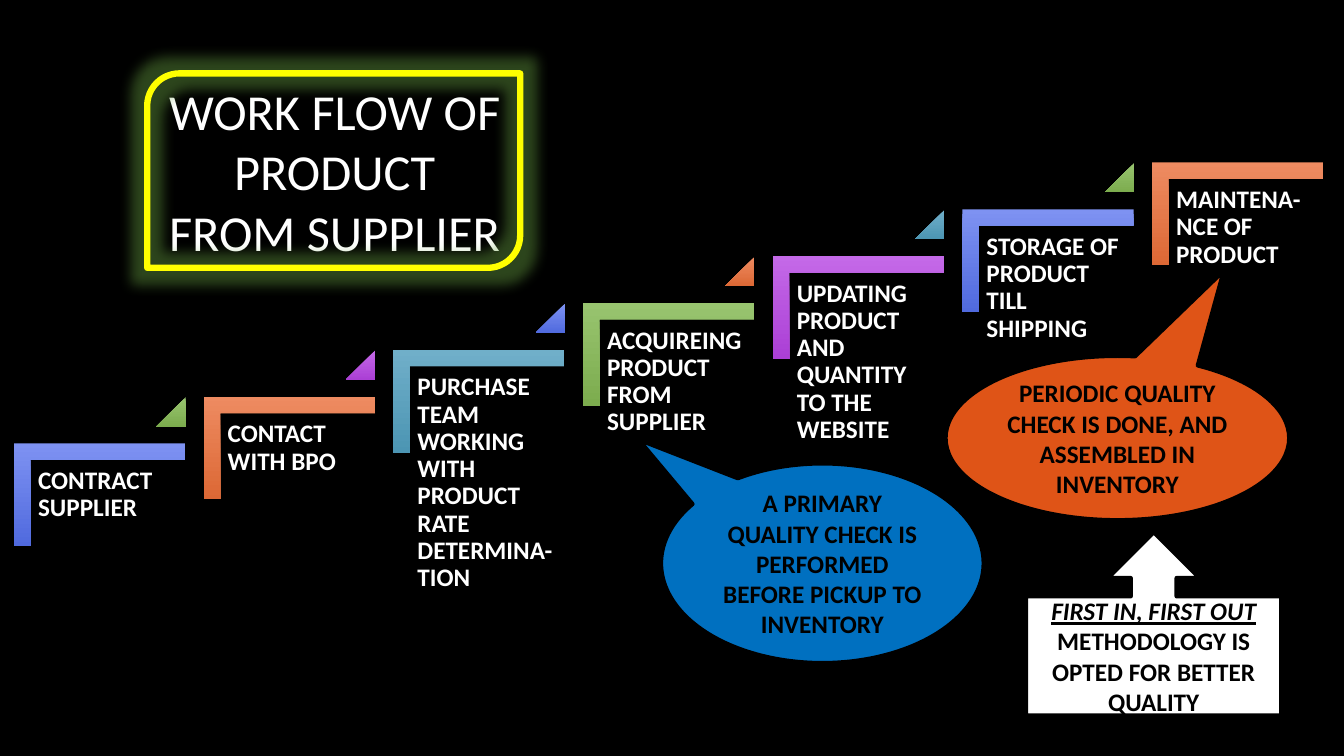
import pptx
import pptx.util
import pptx.dml.color
import pptx.enum.shapes
import pptx.enum.text
import pptx.oxml
import pptx.oxml.ns
from dataclasses import dataclass

Cm, Pt = pptx.util.Cm, pptx.util.Pt
SHAPE = pptx.enum.shapes.MSO_SHAPE
ALIGN = pptx.enum.text.PP_ALIGN
ANCHOR = pptx.enum.text.MSO_ANCHOR


# Content
TITLE = ["WORK FLOW OF PRODUCT", "FROM SUPPLIER"]
STEPS = [
    "CONTRACT SUPPLIER",
    "CONTACT WITH BPO",
    "PURCHASE TEAM WORKING WITH PRODUCT RATE DETERMINA-TION",
    "ACQUIREING PRODUCT FROM SUPPLIER",
    "UPDATING PRODUCT AND QUANTITY TO THE WEBSITE",
    "STORAGE OF PRODUCT TILL SHIPPING",
    "MAINTENA-NCE OF PRODUCT",
]
# Callouts: shape, (left, top, width, height) in cm, adjustments, fill, runs
CALLOUTS = [
    (SHAPE.OVAL_CALLOUT, (16.66, 11.68, 8.13, 5.03), (-0.57, -0.62), "0070C0",
     ["A PRIMARY QUALITY CHECK IS PERFORMED BEFORE PICKUP TO INVENTORY"]),
    (SHAPE.OVAL_CALLOUT, (23.83, 8.97, 8.66, 4.14), (0.31, -1.02), "DF5417",
     ["PERIODIC QUALITY CHECK IS DONE, AND ASSEMBLED IN INVENTORY"]),
    (SHAPE.UP_ARROW_CALLOUT, (25.86, 13.41, 6.43, 4.62), (), "FFFFFF",
     ["FIRST IN, FIRST OUT ", "METHODOLOGY IS OPTED FOR BETTER QUALITY"]),
]


@dataclass(frozen=True)
class Theme:
    font: str = "Calibri"
    title_size: int = 36
    body_size: int = 18
    back: str = "000000"
    light: str = "FFFFFF"
    frame: str = "FFFF00"
    glow: str = "70AD47"
    # Light and dark end of each step colour, in the order they cycle
    steps: tuple = (("7E92F2", "506ADE"), ("EE8B61", "DC6835"), ("70AFC9", "4C95B3"),
                    ("98C46F", "7CAC4E"), ("C469E8", "AB3FD5"))


THEME = Theme()


def rgb(value):
    return pptx.dml.color.RGBColor.from_string(value)


def style(font, size, color, bold=False):
    font.name, font.size, font.bold = THEME.font, Pt(size), bold
    font.color.rgb = rgb(color)


def add_shape(s, kind, box, adjustments=()):
    sp = s.shapes.add_shape(kind, *(Cm(v) for v in box))
    sp.shadow.inherit = False
    for i, value in enumerate(adjustments):
        sp.adjustments[i] = value
    return sp


def fill_gradient(sp, colors):
    """Shade from top to bottom, whatever the rotation of the shape."""
    sp.line.fill.background()
    sp.fill.gradient()
    sp.fill.gradient_angle = 270
    for stop, color, position in zip(sp.fill.gradient_stops, colors, (0, 1)):
        stop.color.rgb = rgb(color)
        stop.position = position
    sp._element.spPr.find(pptx.oxml.ns.qn("a:gradFill")).set("rotWithShape", "0")


def add_glow(sp, color, radius, alpha):
    effects = sp._element.spPr.find(pptx.oxml.ns.qn("a:effectLst"))
    effects.append(pptx.oxml.parse_xml(
        f'<a:glow {pptx.oxml.ns.nsdecls("a")} rad="{int(radius)}"><a:srgbClr val="{color}">'
        f'<a:alpha val="{alpha * 1000}"/></a:srgbClr></a:glow>'))


def add_step(s, i, text):
    # Each step moves right and up by the same amount
    cx, cy = 2.51 + 4.78 * i, 12.47 - 1.18 * i
    w, h = 2.59, 4.32
    corner = add_shape(s, SHAPE.CORNER, (cx - w / 2, cy - h / 2, w, h), (0.16, 0.16))
    corner.rotation = 90
    fill_gradient(corner, THEME.steps[i % 5])

    box = s.shapes.add_textbox(Cm(cx - 1.73), Cm(cy - 0.86), Cm(3.91), Cm(3.43))
    tf = box.text_frame
    tf.word_wrap = True
    tf.margin_left = tf.margin_right = tf.margin_top = tf.margin_bottom = Cm(0.18)
    tf.text = text
    p = tf.paragraphs[0]
    p.line_spacing = 0.9
    style(p.runs[0].font, THEME.body_size, THEME.light, bold=True)

    # Triangle leading to the next step, three colours further on
    if i < len(STEPS) - 1:
        tri = add_shape(s, SHAPE.ISOSCELES_TRIANGLE, (cx + 1.43, cy - 2.46, 0.74, 0.74), (1,))
        fill_gradient(tri, THEME.steps[(i + 3) % 5])


def add_title(s):
    title = s.shapes.title
    title.left, title.top, title.width, title.height = Cm(3.76), Cm(1.88), Cm(9.35), Cm(4.88)
    tf = title.text_frame
    tf.word_wrap = True
    tf.auto_size = pptx.enum.text.MSO_AUTO_SIZE.NONE
    tf.vertical_anchor = ANCHOR.TOP
    tf.text = "\n".join(TITLE)
    for p in tf.paragraphs:
        p.alignment = ALIGN.CENTER
        p.line_spacing = 1.0
        p.space_before = Pt(0)
        style(p.runs[0].font, THEME.title_size, THEME.light)

    frame = add_shape(s, SHAPE.ROUND_2_DIAG_RECTANGLE, (3.71, 1.85, 9.4, 4.9))
    frame.fill.background()
    frame.line.color.rgb = rgb(THEME.frame)
    frame.line.width = Pt(4.5)
    add_glow(frame, THEME.glow, Pt(18), 40)


def add_callout(s, kind, box, adjustments, fill, texts):
    sp = add_shape(s, kind, box, adjustments)
    sp.fill.solid()
    sp.fill.fore_color.rgb = rgb(fill)
    sp.line.color.rgb = rgb(THEME.back)
    sp.line.width = Pt(3)
    tf = sp.text_frame
    tf.word_wrap = True
    tf.vertical_anchor = ANCHOR.MIDDLE
    p = tf.paragraphs[0]
    p.alignment = ALIGN.CENTER
    for text in texts:
        r = p.add_run()
        r.text = text
        style(r.font, THEME.body_size, THEME.back, bold=True)
    # A lead-in before the main text is emphasised
    for r in p.runs[:-1]:
        r.font.italic = r.font.underline = True


def main():
    prs = pptx.Presentation()
    prs.slide_width, prs.slide_height = Cm(33.87), Cm(19.05)
    s = prs.slides.add_slide(prs.slide_layouts[5])
    s.background.fill.solid()
    s.background.fill.fore_color.rgb = rgb(THEME.back)

    # Staircase, title and remarks
    for i, text in enumerate(STEPS):
        add_step(s, i, text)
    add_title(s)
    for callout in CALLOUTS:
        add_callout(s, *callout)
    prs.save("out.pptx")


if __name__ == "__main__":
    main()
